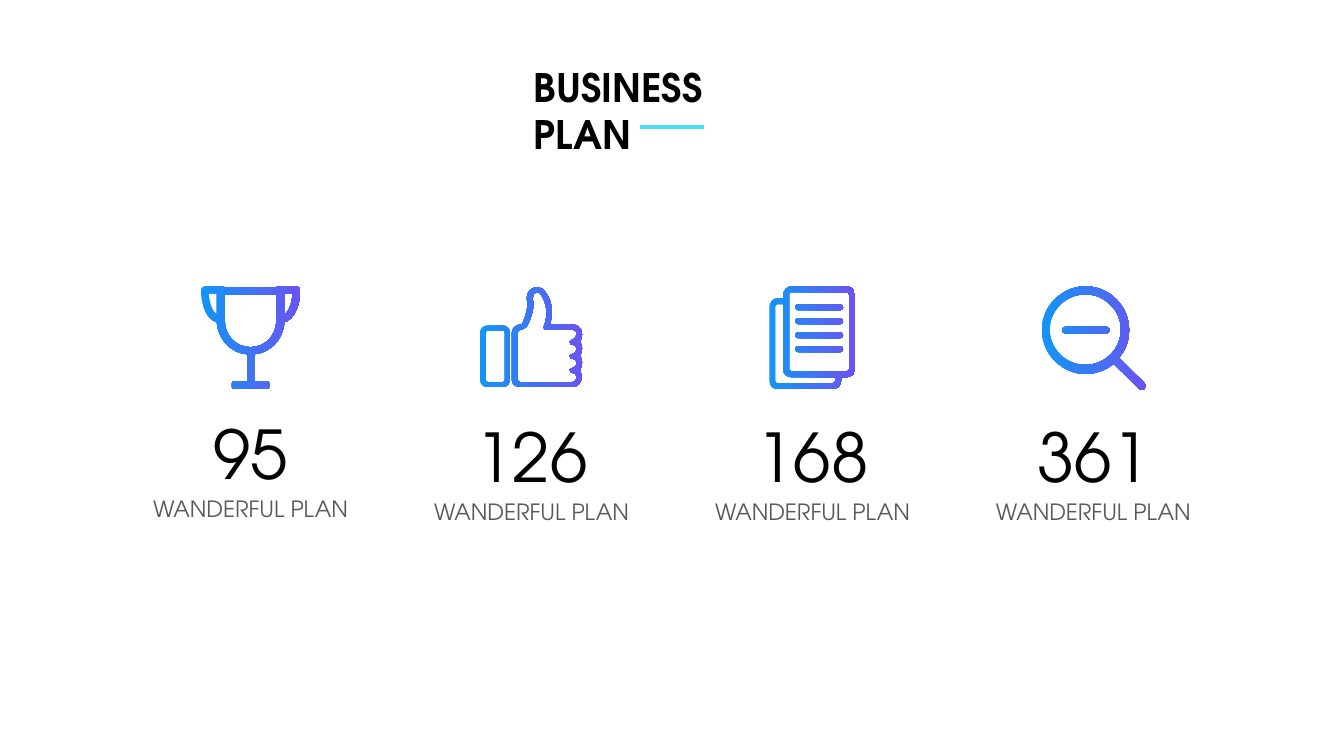
from lxml import etree
from pptx import Presentation
from pptx import util as u
from pptx.dml.color import RGBColor
from pptx.enum import shapes, text
from pptx.oxml.ns import qn

# Content
TITLE = "BUSINESS PLAN"
LABEL = "WANDERFUL PLAN"
FONT = "TeX Gyre Adventor"
GRADIENT = ["1295F6", "6B54F1"]
STYLES = {
    "title": dict(size=28, bold=True, color="000000"),
    "number": dict(size=48, bold=False, color="000000"),
    "label": dict(size=16, bold=False, color="595959"),
}
# number, top of the number, then left, top, width and height of the icon (inches)
STATS = [
    ("95", 4.04, (1.99, 2.84, 0.99, 1.02)),
    ("126", 4.07, (4.76, 2.85, 1.02, 0.99)),
    ("168", 4.07, (7.63, 2.84, 0.85, 1.02)),
    ("361", 4.07, (10.33, 2.84, 1.02, 1.02)),
]
FIRST_COL, LAST_COL, COL_W = 1.01, 9.37, 2.95
LABEL_DROP = 0.82


# Outlines, in hundredths of an inch: a pair is a line, six values a curve
def round_rect(x, y, w, h, r):
    k, x2, y2 = r * 0.45, x + w, y + h
    return [
        (x + r, y), (x2 - r, y), (x2 - k, y, x2, y + k, x2, y + r),
        (x2, y2 - r), (x2, y2 - k, x2 - k, y2, x2 - r, y2),
        (x + r, y2), (x + k, y2, x, y2 - k, x, y2 - r),
        (x, y + r), (x, y + k, x + k, y, x + r, y)]


def circle(cx, cy, r):
    k = r * 0.55
    return [
        (cx, cy - r), (cx + k, cy - r, cx + r, cy - k, cx + r, cy),
        (cx + r, cy + k, cx + k, cy + r, cx, cy + r),
        (cx - k, cy + r, cx - r, cy + k, cx - r, cy),
        (cx - r, cy - k, cx - k, cy - r, cx, cy - r)]


def mirror(steps, axis=49.5):
    """Walk the steps backwards on the other side of the axis."""
    flipped = [tuple(v if i % 2 else 2 * axis - v for i, v in enumerate(s)) for s in steps]
    back = [flipped[-1][-2:]]
    for s, before in zip(flipped[:0:-1], flipped[-2::-1]):
        back.append((s[2:4] + s[:2] if len(s) == 6 else ()) + before[-2:])
    return back


def trophy():
    side = [
        (49.5, 1), (25, 1), (20, 0), (4, 0), (2, 0, 0, 2, 0, 4),
        (0, 5, 1, 32, 16, 36), (17, 53, 30, 67, 46, 68), (46, 95), (33, 95),
        (32, 95, 31, 96, 31, 97), (31, 101), (31, 102, 32, 103, 33, 103), (49.5, 103)]
    bowl = [(49.5, 8), (24, 8), (24, 35), (24, 49, 35, 61, 49.5, 61)]
    handle = [(16, 28), (10, 25, 8, 13, 8, 7), (16, 7)]
    return [side + mirror(side)[1:], bowl + mirror(bowl)[1:], handle, mirror(handle)]


def thumb():
    outer = [(57, 0), (60, 0, 63, 1, 65, 4), (65, 4, 77, 17, 70, 37), (93, 37),
             (96, 37, 98, 38, 100, 40)]
    for y in (40, 54, 68):
        outer += [(101, y + 2, 103, y + 4, 103, y + 7),
                  (103, y + 10, 101, y + 12, 100, y + 14)]
    outer += [(101, 84, 102, 87, 102, 89), (102, 94, 98, 99, 93, 99), (40, 99),
              (36, 99, 32, 96, 32, 92), (32, 45), (32, 41, 36, 37, 40, 37),
              (42, 37, 43, 36, 43, 35), (45, 30, 49, 20, 47, 12), (47, 10),
              (47, 4, 52, 0, 57, 0)]
    inner = [(57, 5), (55, 5, 53, 7, 53, 10), (53, 12), (55, 21, 51, 31, 48, 37),
             (47, 39), (45, 41, 43, 42, 41, 42), (39, 42, 38, 44, 38, 45), (38, 92),
             (38, 93, 39, 94, 40, 94), (93, 94)]
    for y in (94, 80, 66, 51):
        inner += [(95, y, 97, y - 2, 97, y - 5), (97, y - 7, 95, y - 9, 93, y - 9)]
        if y > 51:
            inner += [(91, y - 9, 90, y - 10, 90, y - 12),
                      (90, y - 13, 91, y - 14, 93, y - 14)]
    inner += [(66, 42), (65, 42, 63, 41, 64, 39), (71, 21, 62, 9, 61, 7),
              (60, 6, 59, 5, 57, 5)]
    return [round_rect(0, 38, 30, 61, 7), round_rect(6, 43, 19, 51, 2), outer, inner]


def documents():
    outer = [
        (22, 0), (78, 0), (82, 0, 86, 4, 86, 8), (86, 84), (86, 88, 82, 91, 78, 91),
        (72, 91), (72, 95), (72, 100, 68, 103, 64, 103), (8, 103),
        (4, 103, 0, 100, 0, 95), (0, 20), (0, 16, 4, 12, 8, 12), (14, 12), (14, 8),
        (14, 4, 18, 0, 22, 0)]
    back = [
        (8, 18), (7, 18, 6, 19, 6, 20), (6, 95), (6, 96, 7, 97, 8, 97), (64, 97),
        (65, 97, 66, 96, 66, 95), (66, 91), (22, 91), (18, 91, 14, 88, 14, 84), (14, 18)]
    lines = [round_rect(26, 18 + 14 * i, 48, 6, 3) for i in range(4)]
    return [outer, back, round_rect(20, 6, 60, 79, 2)] + lines


def magnifier():
    outer = [
        (43, 0), (67, 0, 86, 20, 86, 43), (86, 54, 83, 63, 76, 71), (101, 96),
        (103, 97, 103, 100, 101, 102), (100, 103, 98, 103, 96, 102), (71, 77),
        (63, 83, 54, 87, 43, 87), (20, 87, 0, 67, 0, 43), (0, 20, 20, 0, 43, 0)]
    return [outer, circle(43, 43, 35), round_rect(20, 40, 47, 7, 3.5)]


# Drawing helpers
def rgb(value):
    return RGBColor.from_string(value)


def place(sp, *box):
    for name, value in zip(("left", "top", "width", "height"), box):
        setattr(sp, name, u.Inches(value))


def write(sp, words, style, align):
    tf = sp.text_frame
    for name, value in dict(word_wrap=True, vertical_anchor=text.MSO_ANCHOR.TOP,
                            auto_size=text.MSO_AUTO_SIZE.SHAPE_TO_FIT_TEXT).items():
        setattr(tf, name, value)
    p = tf.paragraphs[0]
    p.alignment = align
    r = p.add_run()
    r.text = words
    fmt = STYLES[style]
    for name, value in dict(name=FONT, size=u.Pt(fmt["size"]), bold=fmt["bold"]).items():
        setattr(r.font, name, value)
    r.font.color.rgb = rgb(fmt["color"])


def draw_icon(s, contours, box):
    unit = u.Inches(0.01)
    scaled = [[[round(v * unit) for v in step] for step in c] for c in contours]
    fb = s.shapes.build_freeform(*scaled[0][0])
    for i, steps in enumerate(scaled):
        if i:
            fb.move_to(*steps[0])
        fb.add_line_segments([step[-2:] for step in steps[1:]], close=True)
    sp = fb.convert_to_shape()

    # Give the curved steps their control points
    segments = list(sp._element.iter(qn("a:lnTo")))
    for seg, step in zip(segments, [step for c in scaled for step in c[1:]]):
        if len(step) == 6:
            seg.tag = qn("a:cubicBezTo")
            for n, (x, y) in enumerate((step[:2], step[2:4])):
                seg.insert(n, etree.Element(qn("a:pt"), x=str(x), y=str(y)))

    place(sp, *box)
    sp.shadow.inherit = False
    sp.line.fill.background()
    sp.fill.gradient()
    sp.fill.gradient_angle = 0
    for stop, color, pos in zip(sp.fill.gradient_stops, GRADIENT, (0, 1)):
        stop.color.rgb = rgb(color)
        stop.position = pos


prs = Presentation()
prs.slide_width, prs.slide_height = u.Inches(13.33), u.Inches(7.5)
s = prs.slides.add_slide(prs.slide_layouts[5])

# Title and its underline
title = s.shapes.title
place(title, 5.19, 0.58, 2.94, 0.57)
write(title, TITLE, "title", text.PP_ALIGN.JUSTIFY)
rule = s.shapes.add_connector(shapes.MSO_CONNECTOR.STRAIGHT,
                              *map(u.Inches, (6.35, 1.26, 6.98, 1.26)))
rule.line.color.rgb = rgb("4CDCF4")
rule.line.width = u.Pt(2.25)
etree.SubElement(rule._element.spPr, qn("a:effectLst"))

# Icons
for icon, (_, _, box) in zip((trophy, thumb, documents, magnifier), STATS):
    draw_icon(s, icon(), box)

# Numbers with their labels
pitch = (LAST_COL - FIRST_COL) / (len(STATS) - 1)
for i, (number, top, _) in enumerate(STATS):
    group = s.shapes.add_group_shape()
    for words, style, y, h in ((LABEL, "label", top + LABEL_DROP, 0.37),
                               (number, "number", top, 0.91)):
        box = group.shapes.add_textbox(
            *map(u.Inches, (FIRST_COL + i * pitch, y, COL_W, h)))
        write(box, words, style, text.PP_ALIGN.CENTER)

prs.save("out.pptx")
